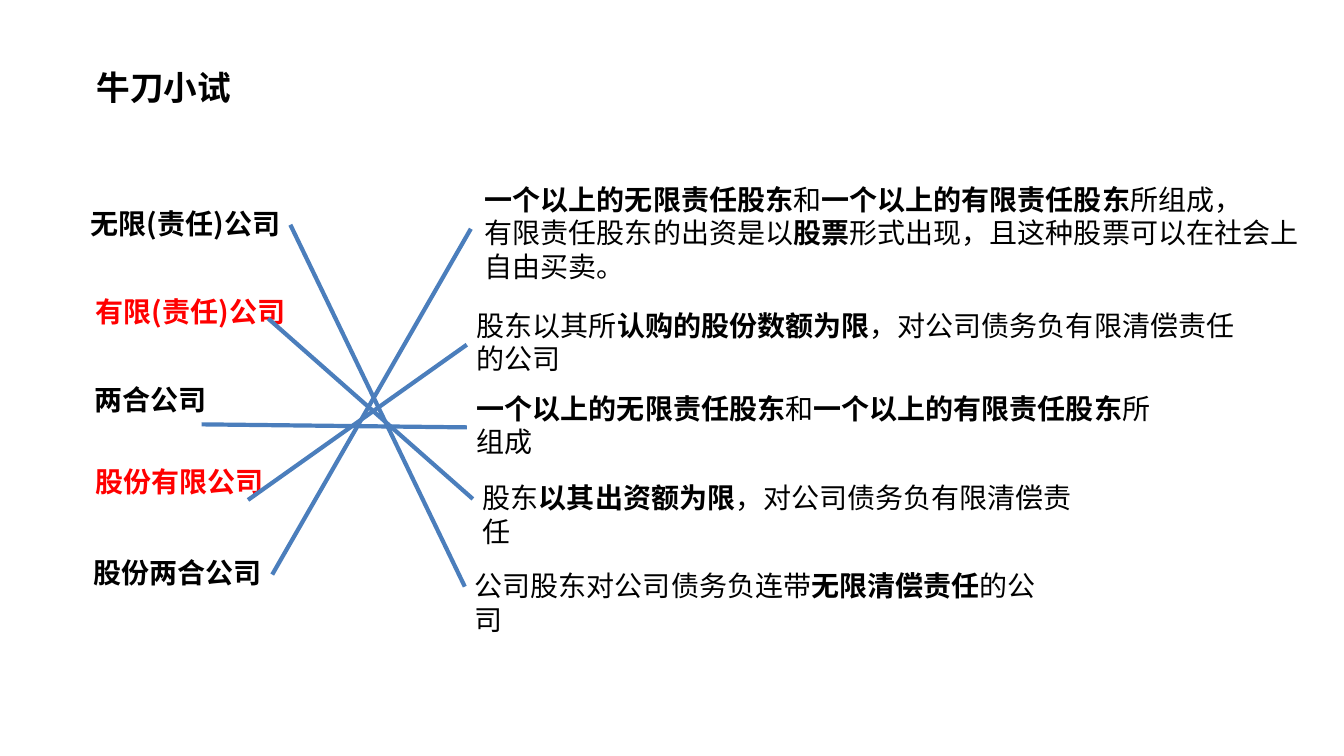
from pptx import Presentation
from pptx.dml.color import RGBColor
from pptx.enum.shapes import MSO_CONNECTOR
from pptx.enum.text import MSO_AUTO_SIZE
from pptx.util import Inches, Pt
from lxml import etree

BLACK = RGBColor(0x00, 0x00, 0x00)
RED = RGBColor(0xFF, 0x00, 0x00)
BLUE = RGBColor(0x4B, 0x7E, 0xBC)
STRAIGHT = MSO_CONNECTOR.STRAIGHT
GROW = MSO_AUTO_SIZE.SHAPE_TO_FIT_TEXT
DRAWING = "{http://schemas.openxmlformats.org/drawingml/2006/main}"
CHINESE_FONT = "Noto Sans CJK SC"
TITLE_FONT = "Calibri"
BODY_SIZE = 20
TITLE_SIZE = 24
LINE_FACTOR = 1.2
PADDING = 0.1
BOLD_MARK = "|"

TITLE = (0.86, 0.61, 3.38, ["|牛刀小试|"])

COMPANIES = [
    (0.80, 2.00, 2.08, "无限(责任)公司", BLACK),
    (0.85, 2.87, 2.08, "有限(责任)公司", RED),
    (0.84, 3.75, 1.31, "两合公司", BLACK),
    (0.85, 4.56, 1.87, "股份有限公司", RED),
    (0.83, 5.46, 1.87, "股份两合公司", BLACK),
]

DEFINITIONS = [
    (4.71, 1.76, 8.53, 3, [
        "|一个以上的无限责任股东|和|一个以上的有限责任股东|所组成，",
        "有限责任股东的出资是以|股票|形式出现，且这种股票可以在社会上自由买卖。",
    ]),
    (4.63, 3.01, 7.98, 2, ["股东以其所|认购的股份数额为限|，对公司债务负有限清偿责任的公司"]),
    (4.63, 3.83, 6.95, 2, ["|一个以上的无限责任股东|和|一个以上的有限责任股东|所组成"]),
    (4.69, 4.72, 6.31, 1, ["股东|以其出资额为限|，对公司债务负有限清偿责任"]),
    (4.61, 5.59, 6.03, 1, ["公司股东对公司债务负连带|无限清偿责任|的公司"]),
]

MATCHES = [
    ((2.88, 2.23), (4.61, 5.82)),
    ((2.66, 3.16), (4.69, 4.95)),
    ((2.00, 4.21), (4.63, 4.24)),
    ((2.46, 4.96), (4.63, 3.42)),
    ((2.70, 5.70), (4.67, 2.27)),
]


def add_text(slide, left, top, width, lines, rows=1, color=BLACK,
             size=BODY_SIZE, font_name=CHINESE_FONT):
    height = rows * size * LINE_FACTOR / 72 + PADDING
    shape = slide.shapes.add_textbox(
        Inches(left), Inches(top), Inches(width), Inches(height))
    frame = shape.text_frame
    frame.word_wrap = True
    frame.auto_size = GROW
    for index, line in enumerate(lines):
        paragraph = frame.add_paragraph() if index else frame.paragraphs[0]
        paragraph.line_spacing = Pt(size * LINE_FACTOR)
        for position, words in enumerate(line.split(BOLD_MARK)):
            if not words:
                continue
            run = paragraph.add_run()
            run.text = words
            run.font.size = Pt(size)
            run.font.bold = position % 2 == 1
            run.font.name = font_name
            run.font.color.rgb = color
            properties = run.font._element
            etree.SubElement(properties, DRAWING + "ea", typeface=CHINESE_FONT)


def add_match(slide, start, end):
    connector = slide.shapes.add_connector(
        STRAIGHT, *(Inches(value) for value in start + end))
    connector.line.color.rgb = BLUE
    connector.line.width = Pt(3)
    etree.SubElement(connector._element.spPr, DRAWING + "effectLst")


def main():
    presentation = Presentation()
    presentation.slide_width = Inches(13.33)
    presentation.slide_height = Inches(7.5)
    slide = presentation.slides.add_slide(presentation.slide_layouts[6])
    for left, top, width, name, color in COMPANIES:
        add_text(slide, left, top, width, [BOLD_MARK + name], color=color)
    for left, top, width, rows, lines in DEFINITIONS:
        add_text(slide, left, top, width, lines, rows)
    for start, end in MATCHES:
        add_match(slide, start, end)
    add_text(slide, *TITLE, size=TITLE_SIZE, font_name=TITLE_FONT)
    presentation.save("out.pptx")


if __name__ == "__main__":
    main()
